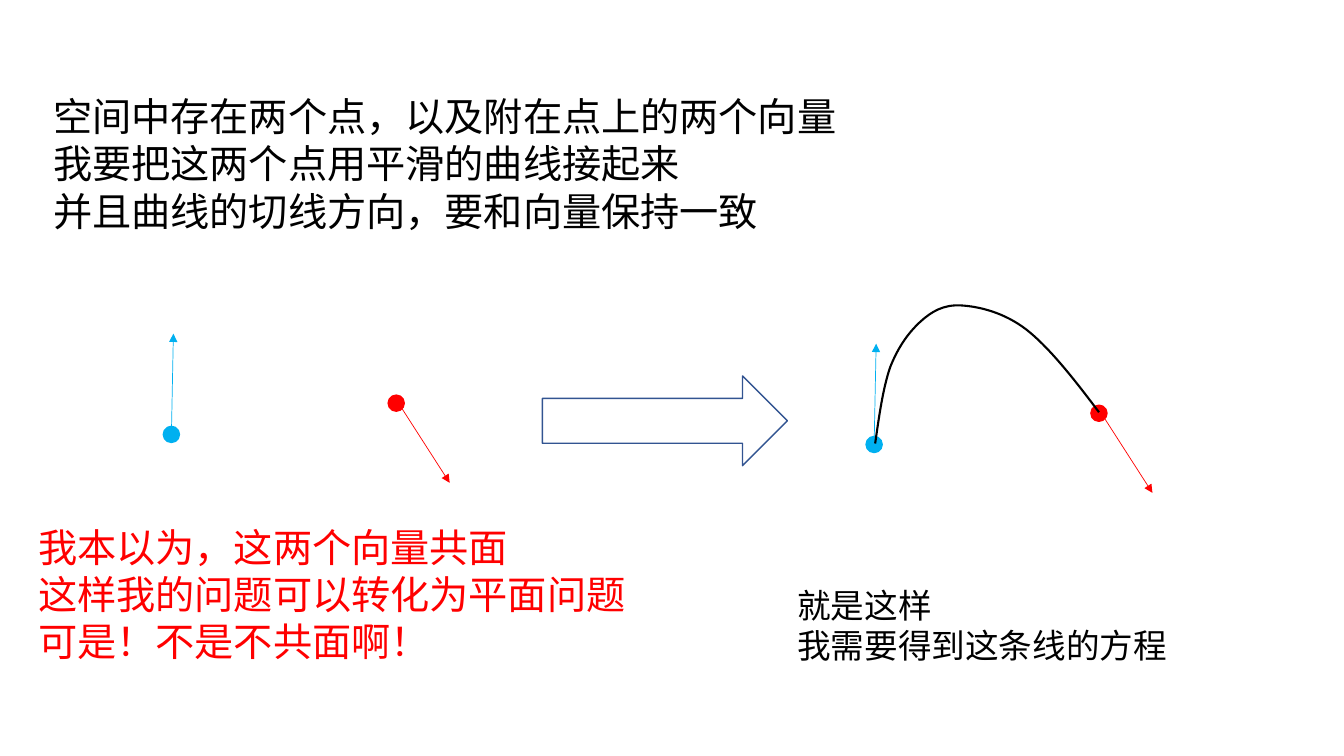
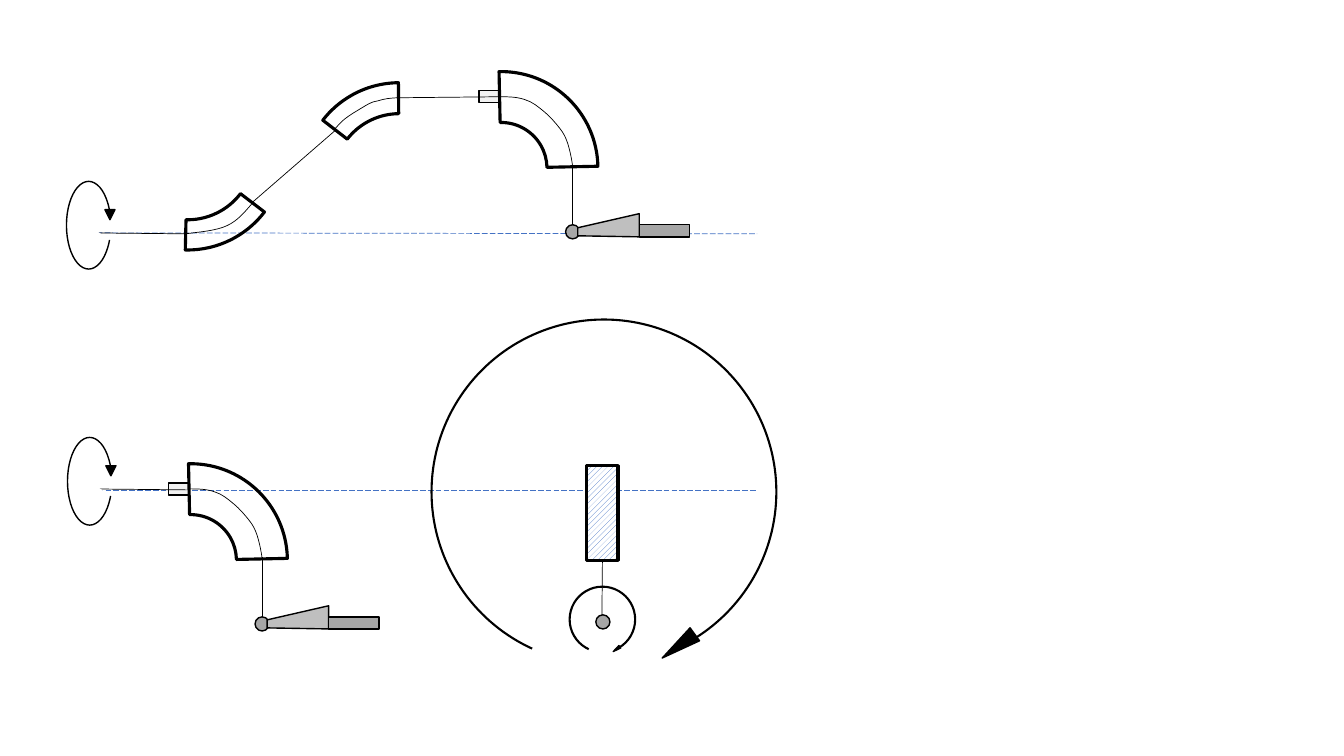
from dataclasses import dataclass
from typing import Optional, Union

from lxml import etree
from pptx import Presentation
from pptx.dml.color import RGBColor
from pptx.enum.dml import MSO_LINE, MSO_PATTERN
from pptx.enum.shapes import MSO_CONNECTOR, MSO_SHAPE as Preset
from pptx.enum.text import MSO_AUTO_SIZE
from pptx.oxml.ns import qn
from pptx.shapes.autoshape import Shape
from pptx.shapes.connector import Connector
from pptx.shapes.shapetree import GroupShapes, SlideShapes
from pptx.util import Inches, Pt

Canvas = Union[SlideShapes, GroupShapes]
Point = tuple[float, float]

BLACK = RGBColor(0x00, 0x00, 0x00)
WHITE = RGBColor(0xFF, 0xFF, 0xFF)
RED = RGBColor(0xFF, 0x00, 0x00)
SKY = RGBColor(0x00, 0xB0, 0xF0)
NAVY = RGBColor(0x32, 0x54, 0x91)
AXIS_BLUE = RGBColor(0x44, 0x72, 0xC4)
PALE_GRAY = RGBColor(0xF2, 0xF2, 0xF2)
LIGHT_GRAY = RGBColor(0xBF, 0xBF, 0xBF)
GRAY = RGBColor(0xA6, 0xA6, 0xA6)
FONT = "Noto Sans CJK SC"
DEGREE = 0.6


@dataclass(frozen=True)
class Vector:
    left: float
    top: float
    tail: Point
    head: Point
    color: RGBColor


@dataclass(frozen=True)
class Pipe:
    left: float
    top: float
    start: float
    end: float
    thickness: float
    flipped: bool = True


@dataclass(frozen=True)
class Orbit:
    left: float
    top: float
    size: float
    head: tuple[float, float, float, float]


VECTORS = (
    Vector(1.62, 4.23, (1.70, 4.31), (1.72, 3.31), SKY),
    Vector(3.85, 3.92, (3.94, 3.98), (4.46, 4.79), RED),
)
LOWER_BEND = Pipe(0.90, 0.56, 217.41, 271.34, 0.156, flipped=False)
UPPER_BEND = Pipe(3.00, 0.82, 270.52, 322.23, 0.16)
ELBOW = Pipe(4.01, 0.71, 181.25, 271.22, 0.263)
ORBITS = (
    Orbit(4.28, 3.17, 3.42, (6.65, 6.21, 0.16, 0.40)),
    Orbit(5.65, 5.82, 0.65, (6.10, 6.40, 0.03, 0.08)),
)
SMOOTH_JOIN = (
    (8.68, 4.40), (8.72, 4.12), (8.76, 3.84), (8.83, 3.64),
    (8.91, 3.44), (9.01, 3.30), (9.13, 3.19),
    (9.24, 3.09), (9.36, 3.02), (9.53, 3.03),
    (9.71, 3.04), (9.96, 3.10), (10.18, 3.27),
    (10.41, 3.45), (10.66, 3.77), (10.90, 4.09),
)
UPPER_CORE = (
    (3.32, 1.28), (3.35, 1.25), (3.38, 1.21), (3.42, 1.18),
    (3.47, 1.14), (3.54, 1.10), (3.59, 1.07),
    (3.64, 1.04), (3.68, 1.01), (3.75, 1.00),
    (3.81, 0.98), (3.88, 0.97), (3.96, 0.97),
)
LOWER_CORE = (
    (2.50, 2.02), (2.43, 2.10), (2.36, 2.19), (2.25, 2.24),
    (2.14, 2.29), (1.99, 2.30), (1.84, 2.32),
)
ELBOW_CORE = (
    (4.95, 0.96), (5.04, 0.96), (5.13, 0.96), (5.21, 0.99),
    (5.28, 1.01), (5.34, 1.06), (5.40, 1.11),
    (5.46, 1.16), (5.51, 1.22), (5.55, 1.27),
    (5.59, 1.32), (5.61, 1.36), (5.63, 1.42),
    (5.65, 1.48), (5.67, 1.57), (5.68, 1.65),
)
BLADE = ((5.73, 2.34), (6.34, 2.35), (6.34, 2.12), (5.73, 2.26))


def shifted(points: tuple[Point, ...], dx: float, dy: float) -> tuple[Point, ...]:
    return tuple((x + dx, y + dy) for x, y in points)


def style(shape: Shape, fill: Optional[RGBColor], line: RGBColor, width: float) -> Shape:
    shape.shadow.inherit = False
    if fill is None:
        shape.fill.background()
    else:
        shape.fill.solid()
        shape.fill.fore_color.rgb = fill
    shape.line.color.rgb = line
    shape.line.width = Pt(width)
    return shape


def add_preset(canvas: Canvas, preset: Preset, left: float, top: float, width: float,
               height: float, *, fill: Optional[RGBColor] = None, line: RGBColor = BLACK,
               weight: float = 1, rotation: float = 0, flipped: bool = False,
               adjustments: tuple[float, ...] = ()) -> Shape:
    shape = canvas.add_shape(preset, Inches(left), Inches(top), Inches(width), Inches(height))
    shape.rotation = rotation
    if flipped:
        shape.element.spPr.find(qn("a:xfrm")).set("flipV", "1")
    for index, value in enumerate(adjustments):
        shape.adjustments[index] = value
    return style(shape, fill, line, weight)


def add_line(canvas: Canvas, start: Point, end: Point, *, color: RGBColor = BLACK,
             dashed: bool = False, arrow: bool = False) -> Connector:
    connector = canvas.add_connector(
        MSO_CONNECTOR.STRAIGHT, *(Inches(value) for value in start + end))
    connector.line.color.rgb = color
    connector.line.width = Pt(0.5)
    if dashed:
        connector.line.dash_style = MSO_LINE.LONG_DASH
    properties = connector.element.spPr
    if arrow:
        etree.SubElement(properties.find(qn("a:ln")), qn("a:tailEnd"), type="triangle")
    etree.SubElement(properties, qn("a:effectLst"))
    return connector


def add_outline(canvas: Canvas, points: tuple[Point, ...], *, closed: bool = False,
                fill: Optional[RGBColor] = None, weight: float = 0.5) -> Shape:
    corners = [(Inches(x), Inches(y)) for x, y in points]
    builder = canvas.build_freeform(*corners[0])
    builder.add_line_segments(corners[1:], close=closed)
    return style(builder.convert_to_shape(), fill, BLACK, weight)


def add_curve(canvas: Canvas, points: tuple[Point, ...], weight: float = 0.5) -> Shape:
    shape = add_outline(canvas, points, weight=weight)
    segments = list(shape.element.iter(qn("a:lnTo")))
    for first in range(0, len(segments), 3):
        trio = segments[first:first + 3]
        outline = trio[0].getparent()
        bezier = etree.SubElement(outline, qn("a:cubicBezTo"))
        for segment in trio:
            bezier.append(segment[0])
            outline.remove(segment)
    return shape


def add_text(canvas: Canvas, text: str, left: float, top: float, width: float,
             height: float, *, size: float = 28, color: RGBColor = BLACK) -> None:
    box = canvas.add_textbox(Inches(left), Inches(top), Inches(width), Inches(height))
    frame = box.text_frame
    frame.word_wrap = False
    frame.auto_size = MSO_AUTO_SIZE.SHAPE_TO_FIT_TEXT
    frame.text = text
    for paragraph in frame.paragraphs:
        for run in paragraph.runs:
            run.font.size = Pt(size)
            run.font.name = FONT
            run.font.color.rgb = color
            etree.SubElement(run.font._element, qn("a:ea"), typeface=FONT)


def draw_vectors(canvas: Canvas, dx: float = 0, dy: float = 0) -> None:
    for vector in VECTORS:
        add_preset(canvas, Preset.OVAL, vector.left + dx, vector.top + dy, 0.16, 0.16,
                   fill=vector.color, line=vector.color)
    for vector in VECTORS:
        tail, head = shifted((vector.tail, vector.head), dx, dy)
        add_line(canvas, tail, head, color=vector.color, arrow=True)


def draw_pipe(canvas: Canvas, pipe: Pipe, dx: float = 0, dy: float = 0) -> None:
    add_preset(canvas, Preset.BLOCK_ARC, pipe.left + dx, pipe.top + dy, 1.92, 1.92,
               weight=2.25, rotation=180, flipped=pipe.flipped,
               adjustments=(pipe.start * DEGREE, pipe.end * DEGREE, pipe.thickness))


def draw_joint(canvas: Canvas, left: float, top: float) -> None:
    add_preset(canvas, Preset.OVAL, left, top, 0.14, 0.14, fill=GRAY)


def draw_arm(canvas: Canvas, dx: float = 0, dy: float = 0) -> Shape:
    collar = add_preset(canvas, Preset.RECTANGLE, 4.75 + dx, 0.9 + dy, 0.2, 0.12,
                        fill=PALE_GRAY)
    draw_joint(canvas, 5.61 + dx, 2.23 + dy)
    add_outline(canvas, shifted(BLADE, dx, dy), closed=True, fill=LIGHT_GRAY, weight=1)
    add_preset(canvas, Preset.RECTANGLE, 6.34 + dx, 2.23 + dy, 0.5, 0.12, fill=GRAY)
    draw_pipe(canvas, ELBOW, dx, dy)
    add_line(canvas, *shifted(((5.68, 1.64), (5.68, 2.23)), dx, dy))
    add_curve(canvas, shifted(ELBOW_CORE, dx, dy))
    return collar


def draw_spin(canvas: Canvas, dx: float = 0, dy: float = 0) -> None:
    add_line(canvas, *shifted(((0.84, 2.31), (1.84, 2.32)), dx, dy))
    add_preset(canvas, Preset.ARC, 0.66 + dx, 1.8 + dy, 0.44, 0.87, fill=WHITE,
               adjustments=(35.07 * DEGREE, 327.79 * DEGREE))
    add_preset(canvas, Preset.ISOSCELES_TRIANGLE, 1.04 + dx, 2.08 + dy, 0.1, 0.1,
               fill=BLACK, rotation=180)


def draw_orbit(canvas: Canvas, orbit: Orbit) -> None:
    add_preset(canvas, Preset.ARC, orbit.left, orbit.top, orbit.size, orbit.size,
               weight=1.5, adjustments=(114.6 * DEGREE, 64.16 * DEGREE))
    add_preset(canvas, Preset.ISOSCELES_TRIANGLE, *orbit.head, fill=BLACK, rotation=233.9)


def build_problem(canvas: Canvas) -> None:
    draw_vectors(canvas)
    add_text(canvas, "空间中存在两个点，以及附在点上的两个向量\n"
             "我要把这两个点用平滑的曲线接起来\n"
             "并且曲线的切线方向，要和向量保持一致", 0.43, 0.87, 8.06, 1.51)
    draw_vectors(canvas, 6.97, 0.1)
    add_curve(canvas, SMOOTH_JOIN, weight=1.5)
    add_preset(canvas, Preset.RIGHT_ARROW, 5.38, 3.73, 2.43, 0.89, line=NAVY)
    add_text(canvas, "就是这样\n我需要得到这条线的方程", 7.81, 5.75, 3.9, 0.91, size=24)
    add_text(canvas, "我本以为，这两个向量共面\n"
             "这样我的问题可以转化为平面问题\n"
             "可是！不是不共面啊！", 0.28, 5.14, 6.09, 1.51, color=RED)


def build_full_linkage(canvas: Canvas) -> None:
    add_line(canvas, (0.96, 2.31), (7.51, 2.32), color=AXIS_BLUE, dashed=True)
    collar = draw_arm(canvas)
    draw_pipe(canvas, LOWER_BEND)
    draw_pipe(canvas, UPPER_BEND)
    add_line(canvas, (2.5, 2.01), (3.33, 1.29))
    rod = add_line(canvas, (3.96, 0.97), (4.95, 0.96))
    rod.end_connect(collar, 3)
    add_curve(canvas, UPPER_CORE)
    add_curve(canvas, LOWER_CORE)
    draw_spin(canvas)


def build_short_linkage(canvas: Canvas) -> None:
    add_line(canvas, (0.97, 4.86), (7.51, 4.86), color=AXIS_BLUE, dashed=True)
    draw_arm(canvas, -3.08, 3.89)
    draw_spin(canvas, 0.01, 2.54)
    front_view = add_preset(canvas, Preset.RECTANGLE, 5.82, 4.62, 0.31, 0.94, weight=2.25)
    front_view.fill.patterned()
    front_view.fill.pattern = MSO_PATTERN.WIDE_UPWARD_DIAGONAL
    front_view.fill.fore_color.rgb = AXIS_BLUE
    front_view.fill.back_color.rgb = WHITE
    hanger = add_line(canvas, (5.97, 5.56), (5.97, 6.14))
    hanger.begin_connect(front_view, 2)
    draw_joint(canvas, 5.91, 6.1)
    for orbit in ORBITS:
        draw_orbit(canvas, orbit)


def main() -> None:
    deck = Presentation()
    deck.slide_width, deck.slide_height = Inches(13.33), Inches(7.5)
    blank = deck.slide_layouts[6]
    build_problem(deck.slides.add_slide(blank).shapes)
    linkages = deck.slides.add_slide(blank).shapes
    build_full_linkage(linkages.add_group_shape().shapes)
    build_short_linkage(linkages.add_group_shape().shapes)
    deck.save("out.pptx")


if __name__ == "__main__":
    main()
